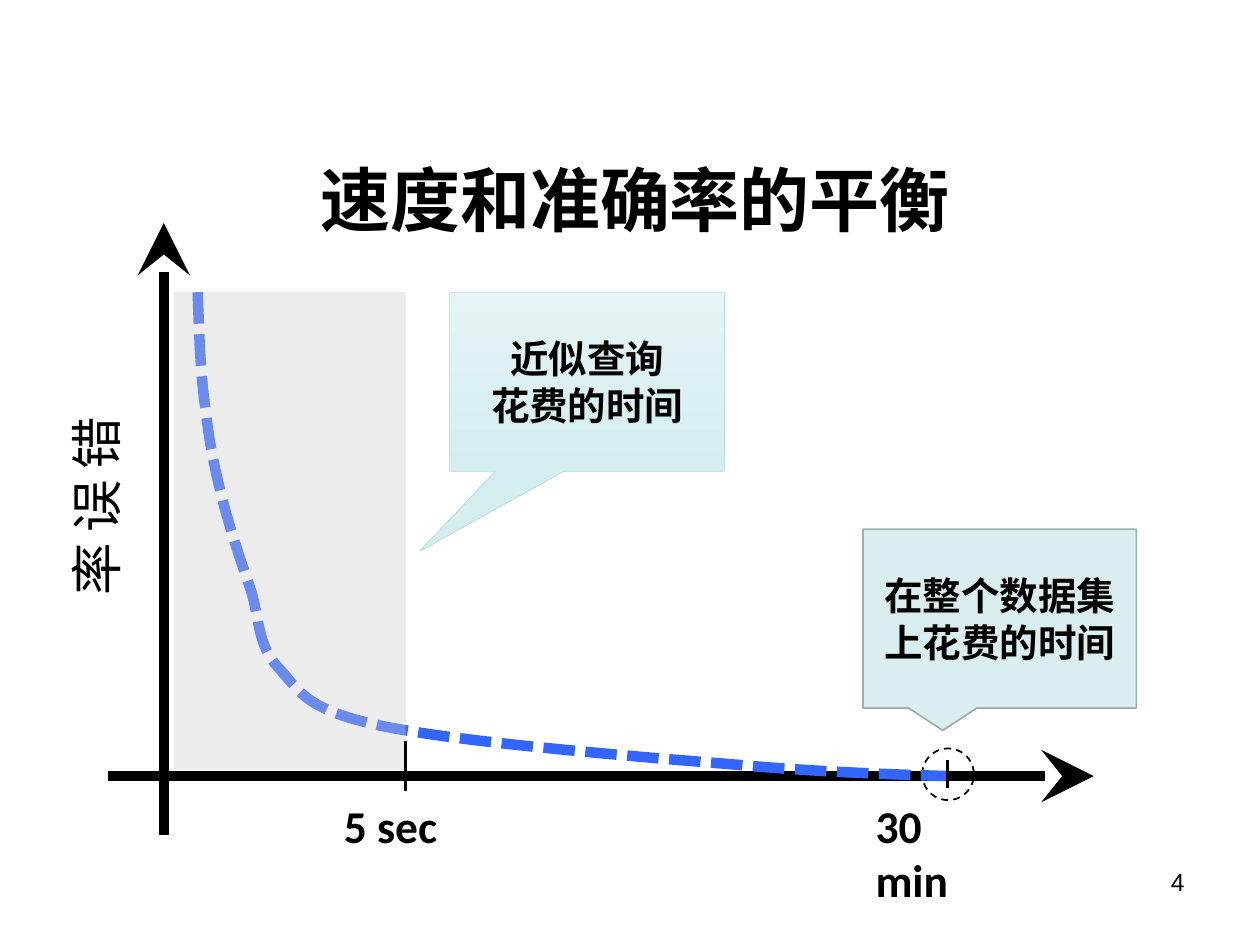
import pptx
import pptx.dml.color
import pptx.enum.dml
import pptx.enum.shapes
import pptx.enum.text
import pptx.oxml
import pptx.oxml.ns
import pptx.util

Pt = pptx.util.Pt
RGBColor = pptx.dml.color.RGBColor
Shape = pptx.enum.shapes.MSO_SHAPE
Align = pptx.enum.text.PP_ALIGN
Anchor = pptx.enum.text.MSO_ANCHOR
Dash = pptx.enum.dml.MSO_LINE
qn = pptx.oxml.ns.qn

BLACK = RGBColor(0x00, 0x00, 0x00)
CURVE_BLUE = RGBColor(0x33, 0x66, 0xFF)
ZONE_GREY = RGBColor(0xCC, 0xCC, 0xCC)
EXACT_FILL = RGBColor(0xDA, 0xED, 0xEF)
EXACT_LINE = RGBColor(0xA0, 0xAE, 0xB0)
APPROX_TOP = RGBColor(0xE6, 0xF4, 0xF5)
APPROX_BOTTOM = RGBColor(0xD4, 0xED, 0xEF)
APPROX_LINE = RGBColor(0xBB, 0xE0, 0xE3)

AXIS_X, AXIS_Y = 93.6, 443.5
PLOT_TOP = 167
FAST_X, FULL_X = 231.8, 541.4
CURVE_START = (113, PLOT_TOP)
CURVE_SEGMENTS = [
    ((113.8, 190.8), (114.5, 213.8), (117.4, 233.3)),
    ((119.5, 252.7), (122.4, 266.4), (126.7, 283.7)),
    ((131, 301), (137.5, 320.4), (143.3, 337)),
    ((148.3, 352.8), (146.9, 368.6), (159.1, 381.6)),
    ((171.4, 394.6), (173.5, 405.4), (217.4, 414.7)),
    ((260.6, 424.1), (366.5, 432.7), (420.5, 437)),
    ((475.2, 442.1), (FULL_X, AXIS_Y), (FULL_X, AXIS_Y)),
]
STEPS = 16


def add_xml(parent, tag, **attributes):
    child = pptx.oxml.parse_xml(f'<a:{tag} {pptx.oxml.ns.nsdecls("a")}/>')
    for key, value in attributes.items():
        child.set(key, value)
    parent.append(child)


def style_text(frame, text, size, font_name="Calibri", bold=False, align=Align.LEFT):
    frame.text = text
    for paragraph in frame.paragraphs:
        paragraph.alignment = align
        for run in paragraph.runs:
            run.font.name = font_name
            run.font.size = Pt(size)
            run.font.bold = bold
            run.font.color.rgb = BLACK


def style_line(line, color, width, dash=None):
    line.color.rgb = color
    line.width = Pt(width)
    if dash is not None:
        line.dash_style = dash


def add_title(slide, text, box):
    title = slide.shapes.title
    title.left, title.top, title.width, title.height = map(Pt, box)
    title.text_frame.vertical_anchor = Anchor.MIDDLE
    style_text(title.text_frame, text, 40, "Arial", True, Align.CENTER)


def add_label(slide, text, box, size, wrap=False, **style):
    label = slide.shapes.add_textbox(*map(Pt, box))
    label.text_frame.word_wrap = wrap
    if not wrap:
        label.text_frame.auto_size = pptx.enum.text.MSO_AUTO_SIZE.SHAPE_TO_FIT_TEXT
    style_text(label.text_frame, text, size, **style)
    return label


def add_error_label(slide, text, box):
    label = add_label(slide, text, box, 30)
    label.rotation = 270
    frame = label.text_frame
    frame.vertical_anchor = Anchor.MIDDLE
    frame.margin_left = frame.margin_right = Pt(3.6)
    frame.margin_top = frame.margin_bottom = Pt(7.2)
    frame._txBody.find(qn("a:bodyPr")).set("vert", "eaVert")


def add_line(slide, start, end, width, arrow=False):
    connector = slide.shapes.add_connector(
        pptx.enum.shapes.MSO_CONNECTOR.STRAIGHT, *map(Pt, start + end))
    style_line(connector.line, BLACK, width)
    if arrow:
        add_xml(connector.line._get_or_add_ln(), "tailEnd",
                type="stealth", w="lg", len="lg")
    add_xml(connector._element.spPr, "effectLst")


def add_preset(slide, preset, box):
    shape = slide.shapes.add_shape(preset, *map(Pt, box))
    shape.shadow.inherit = False
    return shape


def add_full_time_ring(slide, box):
    ring = add_preset(slide, Shape.OVAL, box)
    ring.fill.background()
    style_line(ring.line, BLACK, 1, Dash.DASH)


def add_fast_zone(slide, box):
    zone = add_preset(slide, Shape.RECTANGLE, box)
    zone.fill.solid()
    zone.fill.fore_color.rgb = ZONE_GREY
    color = zone._element.spPr.find(qn("a:solidFill")).find(qn("a:srgbClr"))
    add_xml(color, "alpha", val="37000")
    zone.line.fill.background()


def add_callout(slide, text, box, pointer, fills, line_color, line_width):
    callout = add_preset(slide, Shape.RECTANGULAR_CALLOUT, box)
    for index, value in enumerate(pointer):
        callout.adjustments[index] = value
    if len(fills) == 1:
        callout.fill.solid()
        callout.fill.fore_color.rgb = fills[0]
    else:
        callout.fill.gradient()
        callout.fill.gradient_angle = 270
        for stop, color in zip(callout.fill.gradient_stops, fills):
            stop.color.rgb = color
    style_line(callout.line, line_color, line_width)
    callout.text_frame.word_wrap = True
    callout.text_frame.vertical_anchor = Anchor.MIDDLE
    style_text(callout.text_frame, text, 22, bold=True, align=Align.CENTER)


def bezier_point(controls, t):
    weights = ((1 - t) ** 3, 3 * t * (1 - t) ** 2, 3 * t ** 2 * (1 - t), t ** 3)
    return tuple(Pt(sum(w * p[axis] for w, p in zip(weights, controls)))
                 for axis in (0, 1))


def add_curve(slide):
    points = []
    start = CURVE_START
    for segment in CURVE_SEGMENTS:
        points += [bezier_point((start, *segment), step / STEPS)
                   for step in range(1, STEPS + 1)]
        start = segment[-1]
    builder = slide.shapes.build_freeform(*map(Pt, CURVE_START))
    builder.add_line_segments(points, close=False)
    curve = builder.convert_to_shape()
    curve.shadow.inherit = False
    curve.fill.background()
    style_line(curve.line, CURVE_BLUE, 6, Dash.SQUARE_DOT)


def main():
    deck = pptx.Presentation()
    deck.slide_width, deck.slide_height = Pt(720), Pt(540)
    slide = deck.slides.add_slide(deck.slide_layouts[5])

    add_title(slide, "速度和准确率的平衡", (38.9, 68.4, 648, 90))
    add_label(slide, "4", (516.2, 491.8, 167.8, 37.4), 14, wrap=True,
              font_name="Arial", align=Align.RIGHT)
    add_full_time_ring(slide, (527, 427.7, 29.5, 29.5))
    add_line(slide, (61.9, AXIS_Y), (625, AXIS_Y), 6, arrow=True)
    add_line(slide, (AXIS_X, 477.4), (AXIS_X, 127.4), 6, arrow=True)
    add_error_label(slide, "错\v误\v率", (-9.4, 271.4, 122.4, 37.4))
    add_curve(slide)
    add_line(slide, (FULL_X, 434.2), (FULL_X, 450), 1.5)
    add_label(slide, "30 min", (493.2, 452.2, 87.8, 38.9), 26, bold=True)
    add_callout(slide, "在整个数据集上花费的时间", (493.2, 302.4, 156.2, 102.2),
                (-0.208, 0.625), [EXACT_FILL], EXACT_LINE, 1)
    add_fast_zone(slide, (99.4, PLOT_TOP, FAST_X - 99.4, 272.9))
    add_callout(slide, "近似查询\v花费的时间", (257, PLOT_TOP, 157, 102.2),
                (-0.608, 0.947), [APPROX_TOP, APPROX_BOTTOM], APPROX_LINE, 0.5)
    add_label(slide, "5 sec", (189.4, 452.2, 67.7, 38.9), 26, bold=True)
    add_line(slide, (FAST_X, 423.4), (FAST_X, 452.2), 1.5)

    deck.save("out.pptx")


if __name__ == "__main__":
    main()
